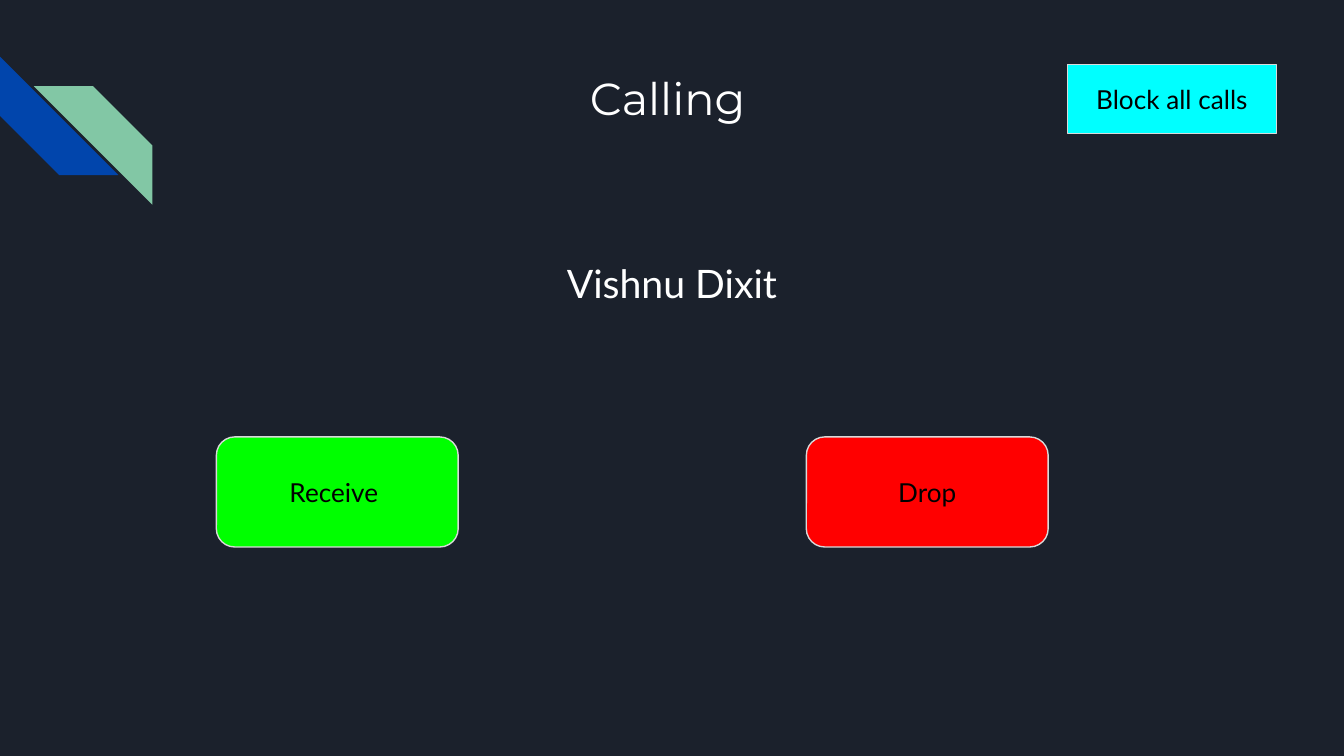
from pptx import Presentation
from pptx.dml.color import RGBColor
from pptx.enum.shapes import MSO_SHAPE as SHAPE
from pptx.enum.text import MSO_ANCHOR as ANCHOR, PP_ALIGN as ALIGN
from pptx.util import Cm, Pt

WHITE, BLACK, GREY = "FFFFFF", "000000", "D9D9D9"
BUTTON_TOP, BUTTON_W, BUTTON_H = 8.26, 4.57, 2.08
STRIPE_SIZE = 2.24


def paint(fill, color):
    fill.solid()
    fill.fore_color.rgb = RGBColor.from_string(color)


def write(s, text, size, font, color, align, anchor):
    tf = s.text_frame
    tf.text = text
    tf.word_wrap = True
    tf.vertical_anchor = anchor
    tf.margin_left = tf.margin_right = Cm(0.25)
    tf.margin_top = tf.margin_bottom = Cm(0.25)
    p = tf.paragraphs[0]
    p.alignment = align
    r = p.runs[0]
    r.font.size = Pt(size)
    r.font.name = font
    r.font.color.rgb = RGBColor.from_string(color)


def add_filled(slide, kind, x, y, w, h, color):
    s = slide.shapes.add_shape(kind, Cm(x), Cm(y), Cm(w), Cm(h))
    s.shadow.inherit = False
    paint(s.fill, color)
    return s


def add_stripe(slide, x, y, rotation, color):
    s = add_filled(slide, SHAPE.DIAGONAL_STRIPE, x, y,
                   STRIPE_SIZE, STRIPE_SIZE, color)
    s.rotation = rotation
    s.line.fill.background()


def add_label(slide, text, x, y, w, h, size, font, align):
    s = slide.shapes.add_textbox(Cm(x), Cm(y), Cm(w), Cm(h))
    write(s, text, size, font, WHITE, align, ANCHOR.TOP)


def add_button(slide, text, kind, x, y, w, h, color):
    s = add_filled(slide, kind, x, y, w, h, color)
    paint(s.line.fill, GREY)
    s.line.width = Pt(0.75)
    write(s, text, 14, "Lato", BLACK, ALIGN.CENTER, ANCHOR.MIDDLE)


def main():
    prs = Presentation()
    prs.slide_width, prs.slide_height = Cm(25.4), Cm(14.29)
    slide = prs.slides.add_slide(prs.slide_layouts[6])
    paint(slide.background.fill, "1B212C")

    # Corner decoration
    add_stripe(slide, 0, 1.07, 270, "0145AC")
    add_stripe(slide, 0.64, 1.63, 90, "82C7A5")

    # Title and caller
    add_label(slide, "Calling", 10.9, 1.09, 3.58, 2.54,
              24, "Montserrat", ALIGN.LEFT)
    add_label(slide, "Vishnu Dixit", 10.16, 4.65, 5.08, 1.22,
              21, "Lato", ALIGN.CENTER)

    # Call buttons
    for text, x, color in (("Receive ", 4.09, "00FF00"),
                           ("Drop", 15.24, "FF0000")):
        add_button(slide, text, SHAPE.ROUNDED_RECTANGLE, x, BUTTON_TOP,
                   BUTTON_W, BUTTON_H, color)
    add_button(slide, "Block all calls", SHAPE.RECTANGLE, 20.17, 1.22,
               3.96, 1.3, "00FFFF")

    prs.save("out.pptx")


if __name__ == "__main__":
    main()
